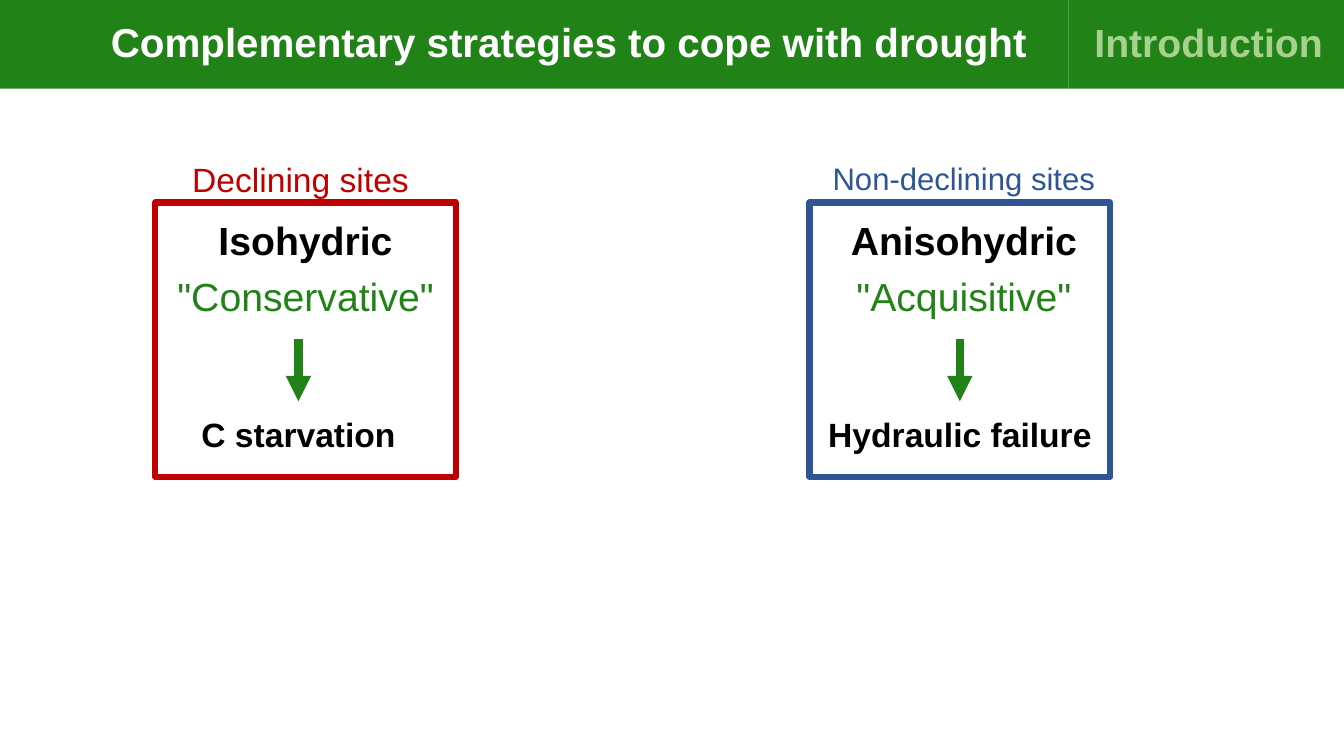
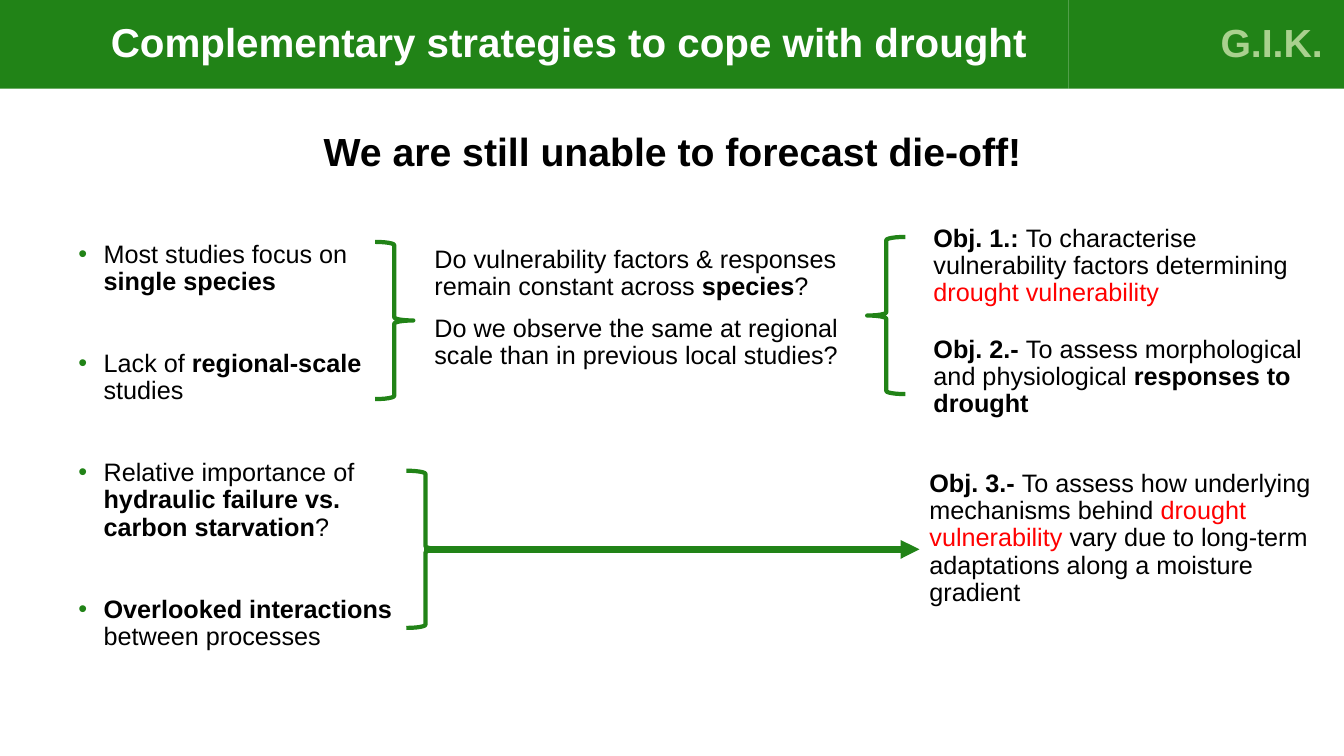
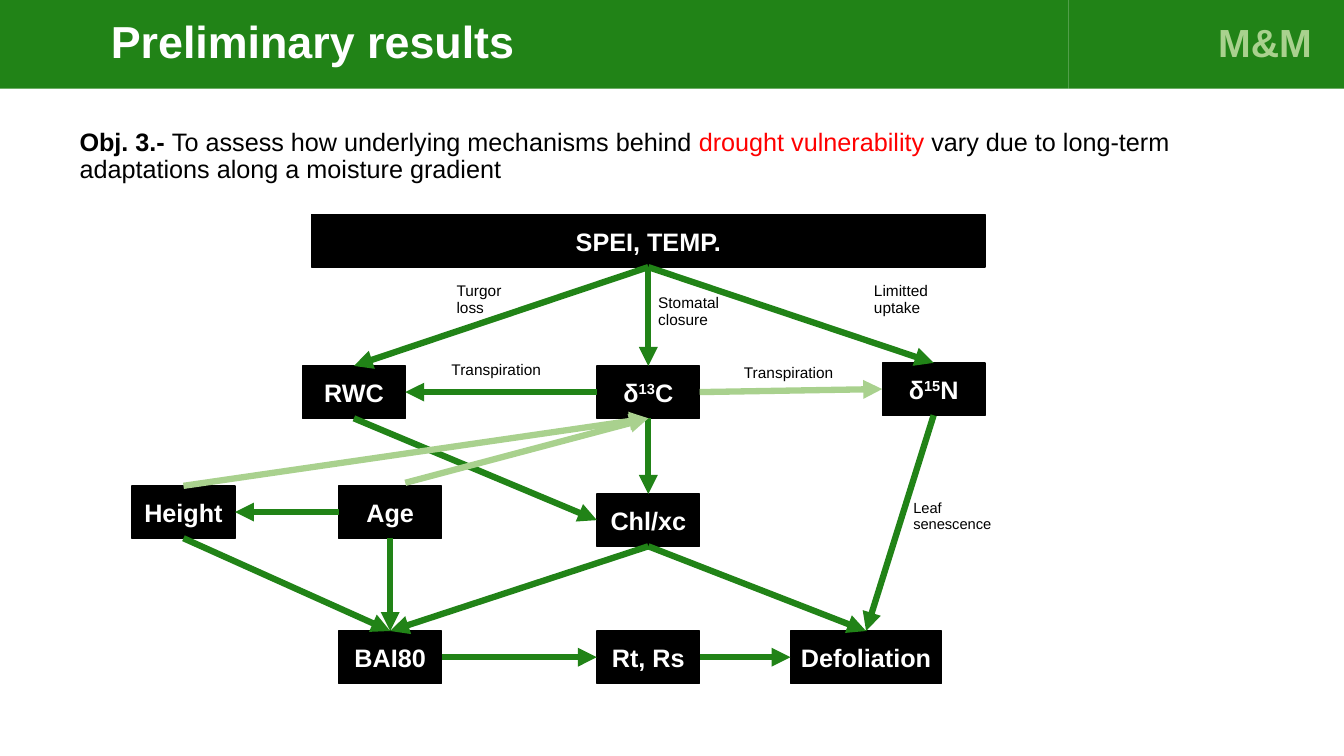
import pptx
import pptx.util
import pptx.dml.color
import pptx.enum.shapes
import pptx.enum.text
import pptx.oxml.ns
from lxml import etree

Inches, Pt = pptx.util.Inches, pptx.util.Pt
SHAPE = pptx.enum.shapes.MSO_SHAPE
ALIGN = pptx.enum.text.PP_ALIGN
ANCHOR = pptx.enum.text.MSO_ANCHOR
qn = pptx.oxml.ns.qn

FONT = "Arial"
COLORS = {
    "green": "218317", "pale": "A9D18E", "black": "000000", "white": "FFFFFF",
    "red": "FF0000", "dark red": "C00000", "blue": "2F5597",
}
TOP, LEFT, BOTTOM, RIGHT = range(4)

STRATEGIES_TITLE = "Complementary strategies to cope with drought"
HEADERS = [
    (STRATEGIES_TITLE, 28.8, "Introduction", 0.22),
    (STRATEGIES_TITLE, 28.8, "G.I.K.", 0.22),
    ("Preliminary results", 32, "M&M", 0.33),
]

STRATEGIES = [
    {"site": "Declining sites", "site_size": 24, "color": "dark red",
     "type": "Isohydric", "style": '"Conservative"', "risk": "C starvation",
     "panel_left": 1.54, "site_mid": 2.98, "type_mid": 3.03, "risk_mid": 2.96},
    {"site": "Non-declining sites", "site_size": 22.2, "color": "blue",
     "type": "Anisohydric", "style": '"Acquisitive"', "risk": "Hydraulic failure",
     "panel_left": 8.03, "site_mid": 9.56, "type_mid": 9.56, "risk_mid": 9.52},
]

FORECAST = "We are still unable to forecast die-off!"
GAPS = [
    [("Most studies focus on ", ""), ("single species", "bold")],
    [("Lack of ", ""), ("regional-scale ", "bold"), ("studies", "")],
    [("Relative importance of ", ""),
     ("hydraulic failure vs. carbon starvation", "bold"), ("?", "")],
    [("Overlooked interactions ", "bold"), ("between processes", "")],
]
QUESTIONS = [
    [("Do vulnerability factors & responses remain constant across ", ""),
     ("species", "bold"), ("?", "")],
    [("Do we observe the same at regional scale than in previous local studies?", "")],
]
OBJECTIVE_1 = [("Obj. 1.: ", "bold"),
               ("To characterise vulnerability factors determining ", ""),
               ("drought vulnerability", "red")]
OBJECTIVE_2 = [("Obj. 2.- ", "bold"),
               ("To assess morphological and physiological", ""),
               (" responses to drought", "bold")]
OBJECTIVE_3 = [("Obj. 3.- ", "bold"),
               ("To assess how underlying mechanisms behind ", ""),
               ("drought vulnerability ", "red"),
               ("vary due to long-term adaptations along a moisture gradient", "")]
OBJECTIVES = [
    (OBJECTIVE_1, (9.16, 2.19, 3.8, 1.56)),
    (OBJECTIVE_2, (9.16, 3.29, 3.95, 1.25)),
    (OBJECTIVE_3, (9.12, 4.62, 4.1, 1.66)),
]
BRACES = [(3.72, 2.4, 0), (4.03, 4.67, 0), (8.6, 2.35, 180)]

FACTOR_HEIGHT = 0.52
FACTORS = {
    "climate": ([("SPEI, TEMP.", "bold")], 3.09, 2.13, 6.68),
    "carbon": ([("δ", "bold"), ("13", "bold super"), ("C", "bold")], 5.92, 3.63, 1.02),
    "nitrogen": ([("δ", "bold"), ("15", "bold super"), ("N", "bold")], 8.75, 3.6, 1.02),
    "age": ([("Age", "bold")], 3.36, 4.82, 1.02),
    "height": ([("Height", "bold")], 1.31, 4.82, 1.02),
    "water": ([("RWC", "bold")], 3, 3.63, 1.02),
    "chlorophyll": ([("Chl/xc", "bold")], 5.92, 4.9, 1.02),
    "growth": ([("BAI80", "bold")], 3.36, 6.26, 1.02),
    "defoliation": ([("Defoliation", "bold")], 7.84, 6.26, 1.5),
    "resilience": ([("Rt, Rs", "bold")], 5.92, 6.26, 1.02),
}
EFFECTS = [
    ("climate", BOTTOM, "carbon", TOP, "green"),
    ("climate", BOTTOM, "nitrogen", TOP, "green"),
    ("climate", BOTTOM, "water", TOP, "green"),
    ("carbon", LEFT, "water", RIGHT, "green"),
    ("nitrogen", BOTTOM, "defoliation", TOP, "green"),
    ("carbon", RIGHT, "nitrogen", LEFT, "pale"),
    ("water", BOTTOM, "chlorophyll", LEFT, "green"),
    ("carbon", BOTTOM, "chlorophyll", TOP, "green"),
    ("chlorophyll", BOTTOM, "growth", TOP, "green"),
    ("growth", RIGHT, "resilience", LEFT, "green"),
    ("chlorophyll", BOTTOM, "defoliation", TOP, "green"),
    ("age", BOTTOM, "growth", TOP, "green"),
    ("age", LEFT, "height", RIGHT, "green"),
    ("height", BOTTOM, "growth", TOP, "green"),
    ("height", TOP, "carbon", BOTTOM, "pale"),
    ("resilience", RIGHT, "defoliation", LEFT, "green"),
]
AGE_EFFECT_START = (4.02, 4.79)
MECHANISMS = [
    ("Stomatal closure", 11, (6.43, 2.88, 0.83, 0.52)),
    ("Limitted uptake", 11, (8.57, 2.76, 0.83, 0.52)),
    ("Turgor loss", 11, (4.43, 2.76, 0.83, 0.52)),
    ("Transpiration", 11, (4.38, 3.54, 1.1, 0.29)),
    ("Leaf senescence", 10.5, (8.96, 4.92, 1.02, 0.52)),
    ("Transpiration", 11, (7.28, 3.57, 1.1, 0.29)),
]


def rgb(name):
    return pptx.dml.color.RGBColor.from_string(COLORS[name])


def write(frame, paragraphs, size, color="black", align=ALIGN.LEFT,
          gap=10, spacing=0.9, bullets=False):
    frame.word_wrap = True
    for index, pieces in enumerate(paragraphs):
        paragraph = frame.add_paragraph() if index else frame.paragraphs[0]
        paragraph.alignment = align
        paragraph.line_spacing = spacing
        paragraph.space_before = Pt(gap if index else 0)
        if bullets:
            add_bullet(paragraph)
        for text, style in pieces:
            run = paragraph.add_run()
            run.text = text
            run.font.name = FONT
            run.font.size = Pt(size)
            run.font.bold = "bold" in style
            hue = next((word for word in style.split() if word in COLORS), color)
            run.font.color.rgb = rgb(hue)
            if "super" in style:
                run.font._element.set("baseline", "30000")


def add_bullet(paragraph):
    properties = paragraph._p.get_or_add_pPr()
    properties.set("marL", str(Inches(0.25)))
    properties.set("indent", str(-Inches(0.25)))
    tint = etree.SubElement(properties, qn("a:buClr"))
    etree.SubElement(tint, qn("a:srgbClr")).set("val", COLORS["green"])
    etree.SubElement(properties, qn("a:buFont")).set("typeface", FONT)
    etree.SubElement(properties, qn("a:buChar")).set("char", "•")


def add_text(slide, paragraphs, box, size, **options):
    label = slide.shapes.add_textbox(*map(Inches, box))
    write(label.text_frame, paragraphs, size, **options)


def add_centred(slide, paragraphs, middle, top, width, height, size, **options):
    add_text(slide, paragraphs, (middle - width / 2, top, width, height), size,
             align=ALIGN.CENTER, **options)


def add_shape(slide, kind, box, fill=None, line=None, weight=1):
    shape = slide.shapes.add_shape(kind, *map(Inches, box))
    shape.shadow.inherit = False
    if fill:
        shape.fill.solid()
        shape.fill.fore_color.rgb = rgb(fill)
    else:
        shape.fill.background()
    if line:
        shape.line.color.rgb = rgb(line)
        shape.line.width = Pt(weight)
    else:
        shape.line.fill.background()
    return shape


def add_arrow(slide, start=(0, 0), end=(0, 0), color="green", weight=4.5):
    arrow = slide.shapes.add_connector(
        pptx.enum.shapes.MSO_CONNECTOR.STRAIGHT, *map(Inches, (*start, *end)))
    arrow.line.color.rgb = rgb(color)
    arrow.line.width = Pt(weight)
    etree.SubElement(arrow.line._get_or_add_ln(), qn("a:tailEnd")).set("type", "triangle")
    etree.SubElement(arrow._element.spPr, qn("a:effectLst"))
    return arrow


def add_header(slide, title, size, section, section_inset):
    title_band = add_shape(slide, SHAPE.RECTANGLE, (0, 0, 10.6, 0.88), "green")
    section_band = add_shape(slide, SHAPE.RECTANGLE, (10.6, 0, 2.74, 0.88), "green")
    for band in (title_band, section_band):
        band.text_frame.vertical_anchor = ANCHOR.MIDDLE
    title_band.text_frame.margin_left = Inches(1.1)
    section_band.text_frame.margin_right = Inches(section_inset)
    write(title_band.text_frame, [[(title, "bold")]], size, "white")
    write(section_band.text_frame, [[(section, "bold")]], 28, "pale", ALIGN.RIGHT)


def build_strategies(slide):
    for item in STRATEGIES:
        add_shape(slide, SHAPE.RECTANGLE, (item["panel_left"], 2.01, 2.98, 2.72),
                  line=item["color"], weight=4.5)
        add_centred(slide, [[(item["site"], "")]], item["site_mid"], 1.57, 2.99, 0.5,
                    item["site_size"], color=item["color"])
        add_centred(slide, [[(item["type"], "bold")], [(item["style"], "green")]],
                    item["type_mid"], 2.15, 2.98, 1.39, 28)
        add_centred(slide, [[(item["risk"], "bold")]], item["risk_mid"], 4.1, 3.82, 0.75, 24)
        add_arrow(slide, (item["risk_mid"], 3.36), (item["risk_mid"], 3.98), weight=6)


def build_objectives(slide):
    add_centred(slide, [[(FORECAST, "bold")]], 6.67, 1.27, 7.82, 0.88, 28)
    add_text(slide, GAPS, (0.68, 2.35, 3.54, 4.49), 18, gap=39, bullets=True)
    add_text(slide, QUESTIONS, (4.21, 2.4, 4.28, 1.56), 18)
    for objective, box in OBJECTIVES:
        add_text(slide, [objective], box, 18)
    for left, top, rotation in BRACES:
        brace = add_shape(slide, SHAPE.RIGHT_BRACE, (left, top, 0.38, 1.56),
                          line="green", weight=3)
        brace.rotation = rotation
    add_arrow(slide, (4.21, 5.45), (9.12, 5.45))


def build_path_diagram(slide):
    add_text(slide, [OBJECTIVE_3], (0.69, 1.24, 12.21, 0.71), 18)
    factors = {}
    for key, (name, left, top, width) in FACTORS.items():
        factor = add_shape(slide, SHAPE.RECTANGLE, (left, top, width, FACTOR_HEIGHT),
                           "black", "black")
        factor.text_frame.vertical_anchor = ANCHOR.MIDDLE
        write(factor.text_frame, [name], 18, "white", ALIGN.CENTER, spacing=1.0)
        factors[key] = factor
    for cause, cause_side, result, result_side, color in EFFECTS:
        arrow = add_arrow(slide, color=color)
        arrow.begin_connect(factors[cause], cause_side)
        arrow.end_connect(factors[result], result_side)
    age_effect = add_arrow(slide, AGE_EFFECT_START, color="pale")
    age_effect.end_connect(factors["carbon"], BOTTOM)
    for mechanism, size, box in MECHANISMS:
        add_text(slide, [[(mechanism, "")]], box, size)


def main():
    deck = pptx.Presentation()
    deck.slide_width, deck.slide_height = Inches(13.33), Inches(7.5)
    builders = [build_strategies, build_objectives, build_path_diagram]
    for header, build in zip(HEADERS, builders):
        slide = deck.slides.add_slide(deck.slide_layouts[6])
        add_header(slide, *header)
        build(slide)
    deck.save("out.pptx")


if __name__ == "__main__":
    main()
